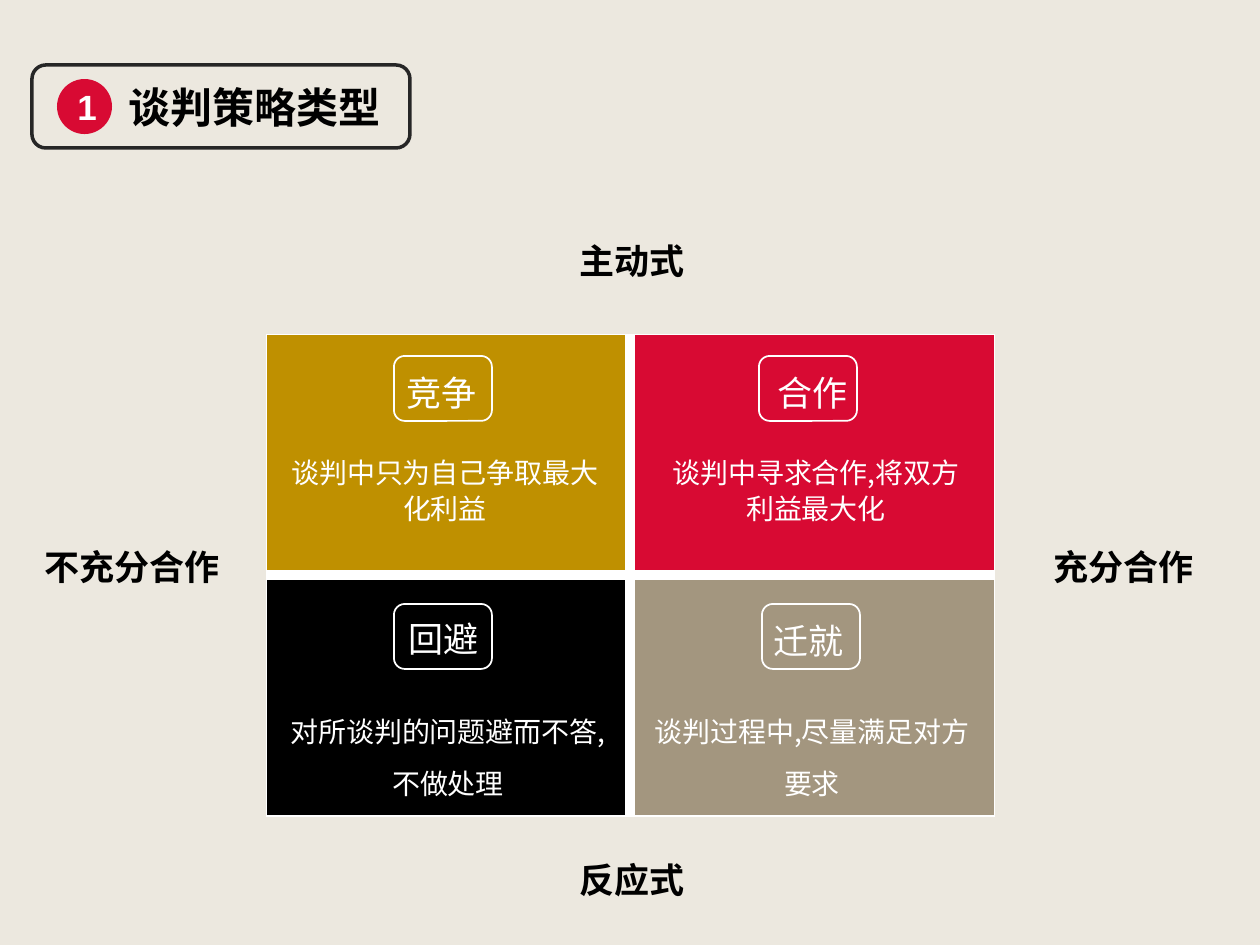
from lxml.etree import SubElement
from pptx import Presentation
from pptx.dml.color import RGBColor
from pptx.enum.shapes import MSO_SHAPE
from pptx.enum.text import MSO_ANCHOR, PP_ALIGN
from pptx.oxml.ns import qn
from pptx.util import Emu, Pt

PX = 914400 // 126
FONT = "Noto Sans CJK SC"
COLORS = {
    "background": "ECE8DF", "frame": "262626", "black": "000000", "white": "FFFFFF",
    "gold": "BF9000", "red": "D80A33", "taupe": "A3967F",
}
COLUMN_WIDTH, ROW_HEIGHT = 364, 241

# Per cell: fill, label, description, badge offset and label offset in the cell
QUADRANTS = [
    [("gold", "竞争", "谈判中只为自己争取最大化利益", (128, 22), (128, 30)),
     ("red", "合作", "谈判中寻求合作,将双方利益最大化", (129, 22), (135, 30))],
    [("black", "回避", "对所谈判的问题避而不答,不做处理", (128, 29), (130, 35)),
     ("taupe", "迁就", "谈判过程中,尽量满足对方要求", (132, 29), (131, 37))],
]
DESCRIPTION_OFFSETS = [(12, 107), (19, 107)]


def px(value):
    return Emu(value * PX)


def rgb(name):
    return RGBColor.from_string(COLORS[name])


def write(frame, text, size, color, bold=False, align=PP_ALIGN.LEFT, spacing=None, font=FONT):
    paragraph = frame.paragraphs[0]
    paragraph.alignment = align
    if spacing:
        paragraph.line_spacing = spacing
    run = paragraph.add_run()
    run.text = text
    run.font.size = Pt(size)
    run.font.bold = bold
    run.font.name = font
    run.font.color.rgb = rgb(color)
    east_asian = SubElement(run.font._element, qn("a:ea"))
    east_asian.set("typeface", font)


def add_text(slide, box, text, size, color, wrap=True, **style):
    frame = slide.shapes.add_textbox(*map(px, box)).text_frame
    frame.word_wrap = wrap
    frame.vertical_anchor = MSO_ANCHOR.MIDDLE
    write(frame, text, size, color, **style)


def add_shape(slide, kind, box, fill=None, line=None, line_width=1):
    shape = slide.shapes.add_shape(kind, *map(px, box))
    shape.shadow.inherit = False
    if fill:
        shape.fill.solid()
        shape.fill.fore_color.rgb = rgb(fill)
    else:
        shape.fill.background()
    if line:
        shape.line.color.rgb = rgb(line)
        shape.line.width = Pt(line_width)
    else:
        shape.line.fill.background()
    return shape


def set_borders(cell, widths):
    """Draw white borders; widths are points for left, right, top, bottom."""
    properties = cell._tc.get_or_add_tcPr()
    for position, (side, width) in enumerate(zip("LRTB", widths)):
        line = properties.makeelement(qn(f"a:ln{side}"), {"w": str(Pt(width))})
        fill = SubElement(line, qn("a:solidFill"))
        SubElement(fill, qn("a:srgbClr")).set("val", COLORS["white"])
        properties.insert(position, line)


def add_heading(slide, left, top, number, text):
    add_text(slide, (left + 84, top + 10, 280, 63), text, 24, "black", wrap=False, bold=True)
    add_shape(slide, MSO_SHAPE.ROUNDED_RECTANGLE, (left, top, 378, 83),
              line="frame", line_width=2)
    circle = add_shape(slide, MSO_SHAPE.OVAL, (left + 25, top + 14, 55, 55), fill="red")
    circle.text_frame.vertical_anchor = MSO_ANCHOR.MIDDLE
    write(circle.text_frame, number, 20, "white", bold=True,
          align=PP_ALIGN.CENTER, font="Arial")


def add_matrix(slide, left, top):
    table = slide.shapes.add_table(
        2, 2, px(left), px(top), px(2 * COLUMN_WIDTH), px(2 * ROW_HEIGHT)).table
    table.first_row = table.horz_banding = False
    for row, quadrants in enumerate(QUADRANTS):
        table.rows[row].height = px(ROW_HEIGHT)
        table.columns[row].width = px(COLUMN_WIDTH)
        for column, (fill, label, description, badge, caption) in enumerate(quadrants):
            x, y = left + column * COLUMN_WIDTH, top + row * ROW_HEIGHT
            cell = table.cell(row, column)
            cell.fill.solid()
            cell.fill.fore_color.rgb = rgb(fill)
            set_borders(cell, (6 if column else 0.5, 0.5 if column else 6,
                               6 if row else 0.5, 1 if row else 6))
            add_shape(slide, MSO_SHAPE.ROUNDED_RECTANGLE,
                      (x + badge[0], y + badge[1], 98, 65), line="white")
            add_text(slide, (x + caption[0], y + caption[1], 100, 57),
                     label, 20, "white", wrap=False)
            if row:
                cell.vertical_anchor = MSO_ANCHOR.BOTTOM
                cell.margin_left = cell.margin_right = px(15)
                cell.margin_bottom = px(13)
                write(cell.text_frame, description, 16, "white",
                      align=PP_ALIGN.CENTER, spacing=1.3)
            else:
                dx, dy = DESCRIPTION_OFFSETS[column]
                add_text(slide, (x + dx, y + dy, 334, 97), description, 16, "white",
                         align=PP_ALIGN.CENTER, spacing=1.06)


def add_axis_labels(slide):
    for text, box in (("主动式", (567, 233, 181, 55)), ("反应式", (567, 852, 181, 55)),
                      ("不充分合作", (32, 539, 265, 55)), ("充分合作", (1041, 539, 233, 55))):
        add_text(slide, box, text, 20, "black", bold=True)


def main():
    presentation = Presentation()
    presentation.slide_width, presentation.slide_height = px(1260), px(945)
    slide = presentation.slides.add_slide(presentation.slide_layouts[6])
    slide.background.fill.solid()
    slide.background.fill.fore_color.rgb = rgb("background")
    add_matrix(slide, 266, 334)
    add_axis_labels(slide)
    add_heading(slide, 32, 65, "1", "谈判策略类型")
    presentation.save("out.pptx")


if __name__ == "__main__":
    main()
